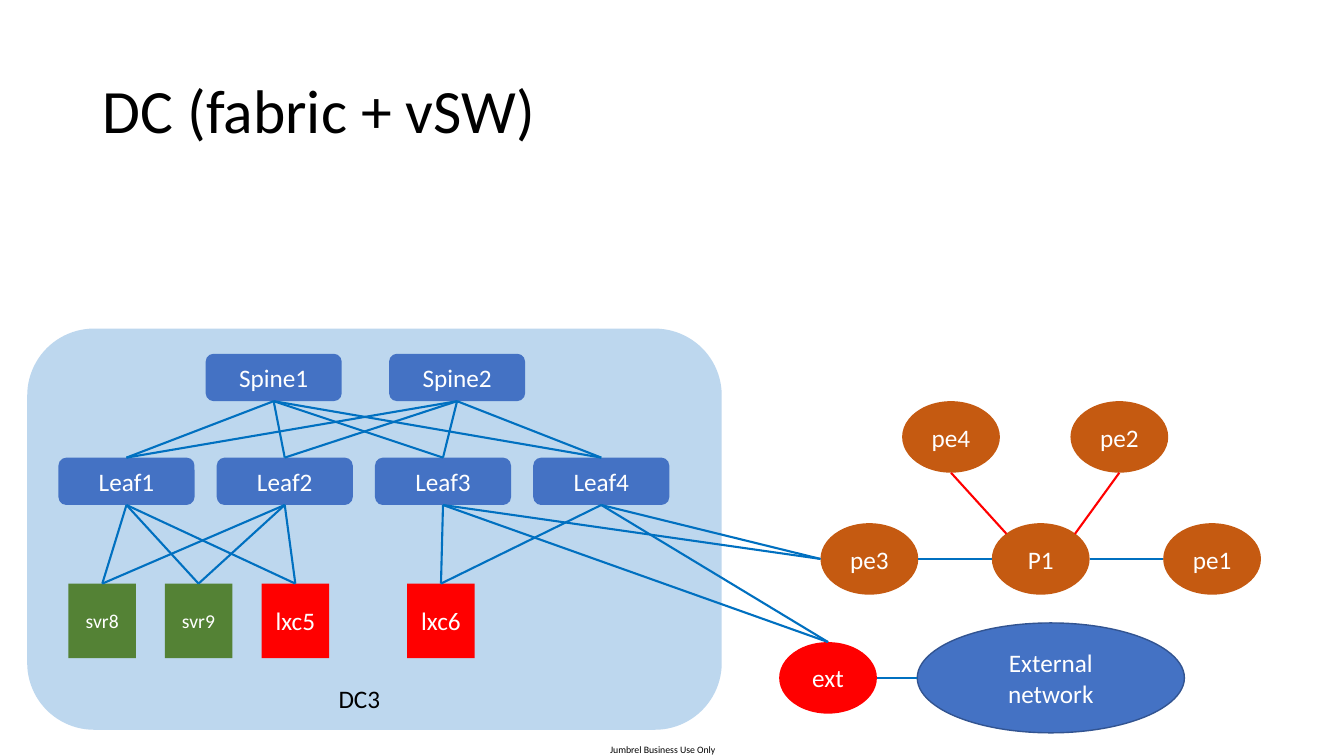
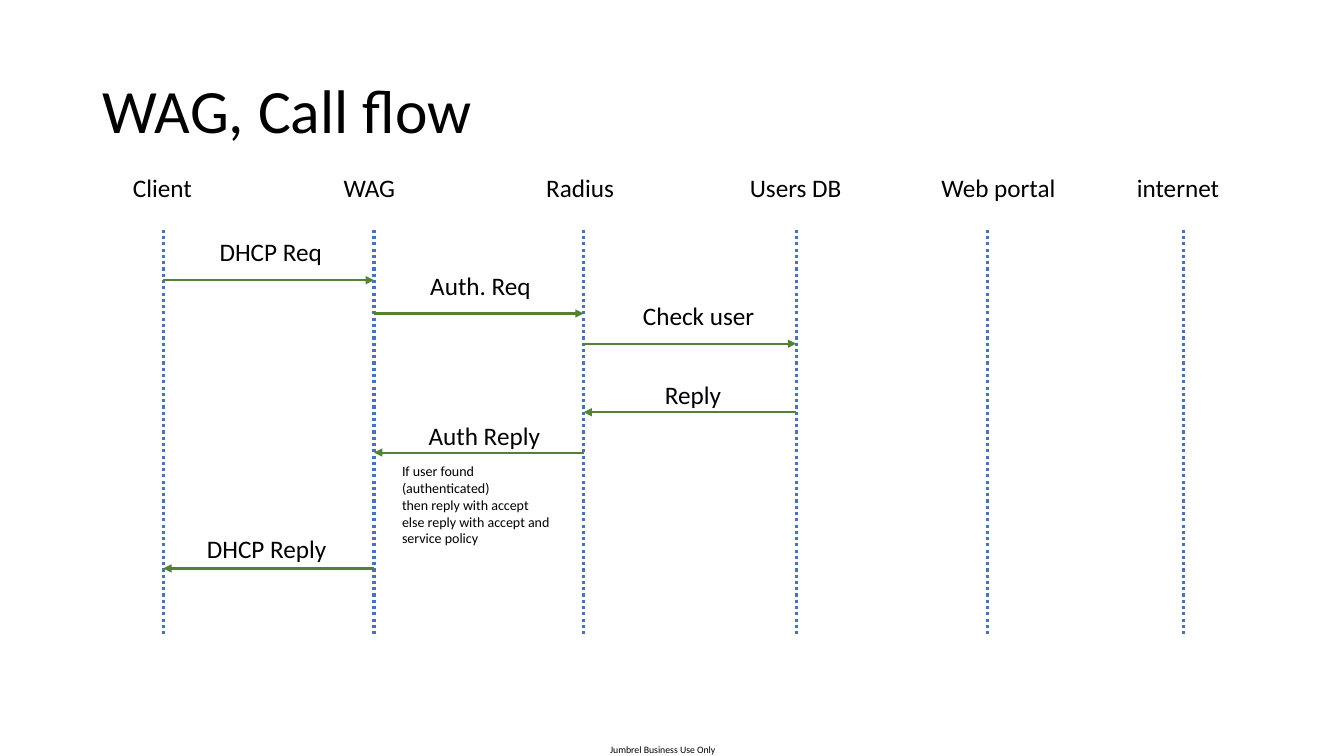
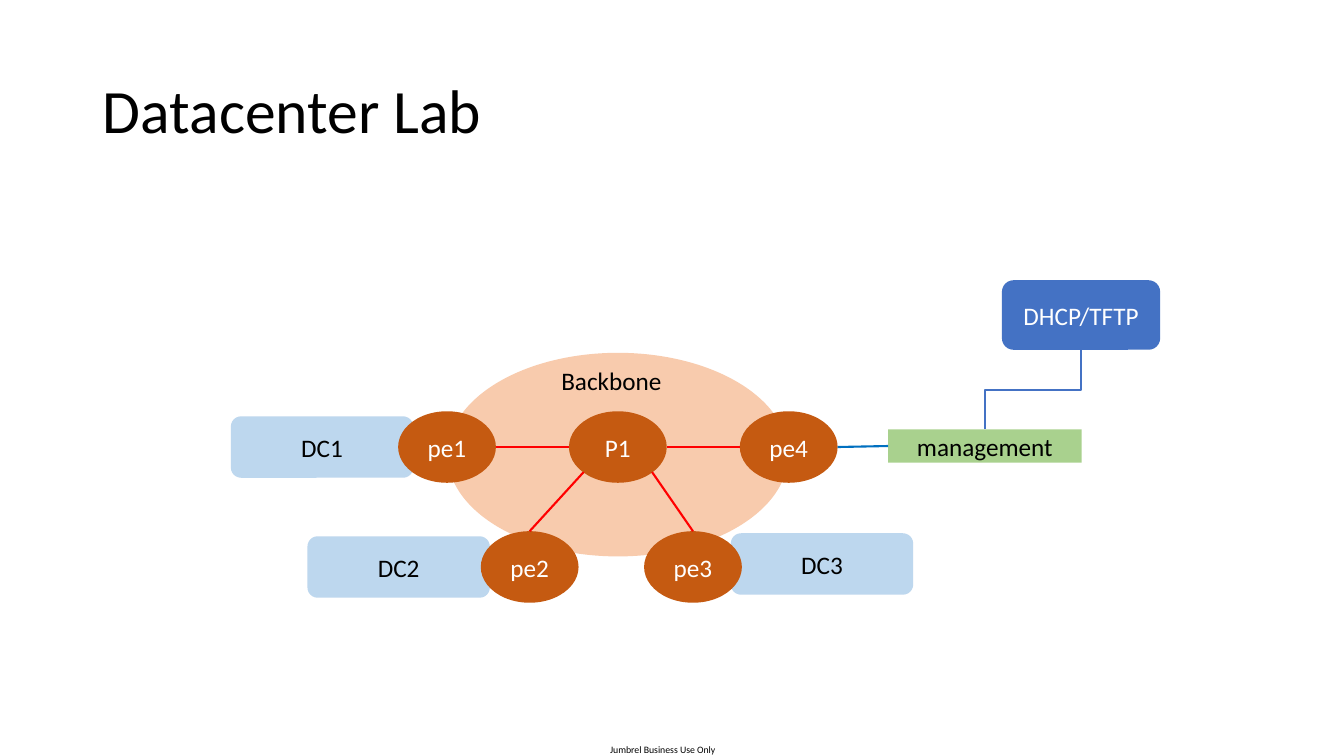
from itertools import product

from lxml import etree
from pptx import Presentation
from pptx import util as u
from pptx.dml.color import RGBColor
from pptx.enum import dml, shapes, text
from pptx.oxml import ns

BLACK = RGBColor(0x00, 0x00, 0x00)
WHITE = RGBColor(0xFF, 0xFF, 0xFF)
BLUE = RGBColor(0x44, 0x72, 0xC4)
NAVY = RGBColor(0x32, 0x54, 0x91)
LINK_BLUE = RGBColor(0x00, 0x70, 0xC0)
PALE_BLUE = RGBColor(0xBD, 0xD7, 0xEE)
GREEN = RGBColor(0x54, 0x82, 0x35)
PALE_GREEN = RGBColor(0xA9, 0xD1, 0x8E)
ORANGE = RGBColor(0xC5, 0x5A, 0x11)
PALE_ORANGE = RGBColor(0xF8, 0xCB, 0xAD)
RED = RGBColor(0xFF, 0x00, 0x00)

FONT = "Calibri"
ROWS = 75
RECT = shapes.MSO_SHAPE.RECTANGLE
ROUND = shapes.MSO_SHAPE.ROUNDED_RECTANGLE
OVAL = shapes.MSO_SHAPE.OVAL
LEFT, CENTER = text.PP_ALIGN.LEFT, text.PP_ALIGN.CENTER

GLUE = ("top", "left", "bottom", "right")
ANCHORS = {
    "top": (0.5, 0), "left": (0, 0.5), "bottom": (0.5, 1), "right": (1, 0.5),
    "top left": (0.15, 0.15), "top right": (0.85, 0.15),
    "bottom left": (0.15, 0.85), "bottom right": (0.85, 0.85),
}


class Board:
    """Draws diagram pages on a grid of square cells, 75 rows to the slide's height."""

    def __init__(self):
        self.deck = Presentation()
        self.deck.slide_width, self.deck.slide_height = u.Emu(12192000), u.Inches(7.5)
        self.cell = self.deck.slide_height / ROWS
        self.page = None

    def grid(self, *cells):
        return [u.Emu(round(count * self.cell)) for count in cells]

    def start(self, title):
        self.page = self.deck.slides.add_slide(self.deck.slide_layouts[5])
        box = self.page.shapes.title
        box.left, box.top, box.width, box.height = self.grid(9.2, 4, 115, 14.5)
        box.text_frame.vertical_anchor = text.MSO_ANCHOR.MIDDLE
        self.fill_text(box, [title], 44, BLACK, LEFT)
        box.text_frame.paragraphs[0].line_spacing = 0.9
        footer = self.label("Jumbrel Business Use Only", 60.5, 73.8, 10.5, 1.2, size=7, align=CENTER)
        frame = footer.text_frame
        frame.margin_left = frame.margin_right = frame.margin_top = frame.margin_bottom = 0

    def fill_text(self, box, lines, size, colour, align):
        frame = box.text_frame
        for index, line in enumerate(lines):
            para = frame.add_paragraph() if index else frame.paragraphs[0]
            para.alignment = align
            span = para.add_run()
            span.text = line
            span.font.name, span.font.size = FONT, u.Pt(size)
            span.font.color.rgb = colour

    def label(self, words, left, top, width, height=4, size=18, align=LEFT, wrap=True):
        box = self.page.shapes.add_textbox(*self.grid(left, top, width, height))
        box.text_frame.word_wrap = wrap
        box.text_frame.auto_size = text.MSO_AUTO_SIZE.SHAPE_TO_FIT_TEXT
        self.fill_text(box, words.split("\n"), size, BLACK, align)
        return box

    def node(self, kind, fill, left, top, width, height, name="", size=18, colour=WHITE, edge=None):
        box = self.page.shapes.add_shape(kind, *self.grid(left, top, width, height))
        box.shadow.inherit = False
        box.fill.solid()
        box.fill.fore_color.rgb = fill
        if edge:
            box.line.color.rgb, box.line.width = edge, u.Pt(1)
        else:
            box.line.fill.background()
        if name:
            box.text_frame.vertical_anchor = text.MSO_ANCHOR.MIDDLE
            self.fill_text(box, [name], size, colour, CENTER)
        return box

    def switch(self, name, left, top):
        return self.node(ROUND, BLUE, left, top, 13.5, 4.7, name)

    def server(self, name, left, fill, size=18):
        return self.node(RECT, fill, left, 57.9, 6.7, 7.4, name, size)

    def router(self, name, left, top, fill=ORANGE):
        return self.node(OVAL, fill, left, top, 9.7, 7.1, name)

    def site(self, name, left, top):
        return self.node(ROUND, PALE_BLUE, left, top, 18.1, 6.1, name, colour=BLACK)

    def stroke(self, line, colour, width=1.5, dash=None, arrow=False):
        line.line.color.rgb, line.line.width = colour, u.Pt(width)
        if dash:
            line.line.dash_style = dash
        if arrow:
            outline = line._element.spPr.find(ns.qn("a:ln"))
            etree.SubElement(outline, ns.qn("a:tailEnd")).set("type", "triangle")
        etree.SubElement(line._element.spPr, ns.qn("a:effectLst"))

    def line(self, x1, y1, x2, y2, colour, **style):
        line = self.page.shapes.add_connector(shapes.MSO_CONNECTOR.STRAIGHT, *self.grid(x1, y1, x2, y2))
        self.stroke(line, colour, **style)

    def point(self, box, side):
        across, down = ANCHORS[side]
        return u.Emu(round(box.left + across * box.width)), u.Emu(round(box.top + down * box.height))

    def link(self, first, side, last, other, colour=LINK_BLUE, kind=shapes.MSO_CONNECTOR.STRAIGHT):
        line = self.page.shapes.add_connector(kind, *self.point(first, side), *self.point(last, other))
        if first.auto_shape_type != OVAL:
            line.begin_connect(first, GLUE.index(side))
        if last.auto_shape_type != OVAL:
            line.end_connect(last, GLUE.index(other))
        self.stroke(line, colour)
        return line

    def mesh(self, uppers, lowers):
        for upper, lower in product(uppers, lowers):
            self.link(upper, "bottom", lower, "top")

    def elbow_down(self, upper, lower, colour):
        line = self.link(upper, "bottom", lower, "top", colour, shapes.MSO_CONNECTOR.ELBOW)
        middle, centre = line.left + line.width / 2, line.top + line.height / 2
        width, height = line.height, line.width
        frame = line._element.spPr.find(ns.qn("a:xfrm"))
        frame.attrib.pop("flipH", None)
        frame.set("rot", "5400000")
        line.left, line.top = u.Emu(round(middle - width / 2)), u.Emu(round(centre - height / 2))
        line.width, line.height = width, height


def draw_fabric(board):
    board.start("DC (fabric + vSW)")
    board.node(ROUND, PALE_BLUE, 2.7, 32.6, 68.9, 39.8)
    board.label("DC3", 32.6, 67.3, 6.2, wrap=False)
    spines = [board.switch(f"Spine{i + 1}", 20.4 + 18.2 * i, 35.1) for i in range(2)]
    leaves = [board.switch(f"Leaf{i + 1}", 5.8 + 15.7 * i, 45.4) for i in range(4)]
    servers = [
        board.server("svr8", 6.8, GREEN, 14),
        board.server("svr9", 16.35, GREEN, 14),
        board.server("lxc5", 25.95, RED),
    ]
    lxc6 = board.server("lxc6", 40.4, RED)
    p1, pe1, pe3 = (board.router(name, left, 51.9) for name, left in
                    (("P1", 98.4), ("pe1", 115.4), ("pe3", 81.4)))
    pe4, pe2 = board.router("pe4", 89.5, 39.8), board.router("pe2", 106.2, 39.8)
    ext = board.router("ext", 77.3, 63.7, RED)
    network = board.node(OVAL, BLUE, 91, 61.8, 26.5, 10.9, "External network", edge=NAVY)

    board.mesh(spines, leaves)
    board.mesh(leaves[:2], servers)
    board.mesh(leaves[2:], [lxc6, ext])
    for leaf in leaves[2:]:
        board.link(leaf, "bottom", pe3, "left")
    for first, last in ((pe3, p1), (p1, pe1), (ext, network)):
        board.link(first, "right", last, "left")
    board.link(pe4, "bottom", p1, "top left", RED)
    board.link(pe2, "bottom", p1, "top right", RED)


def draw_call_flow(board):
    board.start("WAG, Call flow")
    actors = (
        ("Client", 16.2, 12.2, 7.9), ("WAG", 37.1, 33.1, 7.2), ("Radius", 57.9, 53.2, 8.8),
        ("Users DB", 79, 73.4, 11.2), ("Web portal", 98, 92.4, 13.5), ("internet", 117.4, 111.8, 10.3),
    )
    for name, x, left, width in actors:
        board.line(x, 22.8, x, 63, BLUE, width=2.25, dash=dml.MSO_LINE.ROUND_DOT)
        board.label(name, left, 16.6, width, wrap=False)

    messages = (
        ("DHCP Req", 0, 1, 27.8, 20.8, 23, 12.3, LEFT),
        ("Auth. Req", 1, 2, 31.1, 41.7, 26.3, 12.3, LEFT),
        ("Check user", 2, 3, 34.1, 62.8, 29.3, 13.5, LEFT),
        ("Reply", 3, 2, 40.9, 62, 37.1, 13.5, CENTER),
        ("Auth Reply", 2, 1, 44.9, 41.3, 41.2, 13.5, CENTER),
        ("DHCP Reply", 1, 0, 56.4, 18.4, 52.4, 16.1, CENTER),
    )
    for name, sender, receiver, y, left, top, width, align in messages:
        board.line(actors[sender][1], y, actors[receiver][1], y, GREEN, arrow=True)
        board.label(name, left, top, width, align=align)
    board.label("If user found (authenticated)\nthen reply with accept\n"
                "else reply with accept and service policy", 38.9, 45.4, 17.7, 9.4, size=10)


def draw_lab(board):
    board.start("Datacenter Lab")
    board.node(OVAL, PALE_ORANGE, 44.4, 35, 33.8, 20.2)
    board.label("Backbone", 54.7, 35.8, 12.1, wrap=False)
    for name, left, top in (("DC3", 72.5, 52.9), ("DC2", 30.5, 53.2), ("DC1", 22.9, 41.3)):
        board.site(name, left, top)
    pe1, p1, pe4 = (board.router(name, 39.5 + 16.95 * i, 40.8) for i, name in enumerate(("pe1", "P1", "pe4")))
    pe2, pe3 = board.router("pe2", 47.7, 52.7), board.router("pe3", 63.9, 52.7)
    management = board.node(RECT, PALE_GREEN, 88.1, 42.6, 19.2, 3.3, "management", colour=BLACK)
    boot = board.node(ROUND, BLUE, 99.4, 27.8, 15.7, 6.9, "DHCP/TFTP")

    board.link(pe1, "right", p1, "left", RED)
    board.link(p1, "right", pe4, "left", RED)
    board.link(p1, "bottom left", pe2, "top", RED)
    board.link(p1, "bottom right", pe3, "top", RED)
    board.link(pe4, "right", management, "left")
    board.elbow_down(boot, management, BLUE)


def main():
    board = Board()
    for draw in (draw_fabric, draw_call_flow, draw_lab):
        draw(board)
    board.deck.save("out.pptx")


if __name__ == "__main__":
    main()
